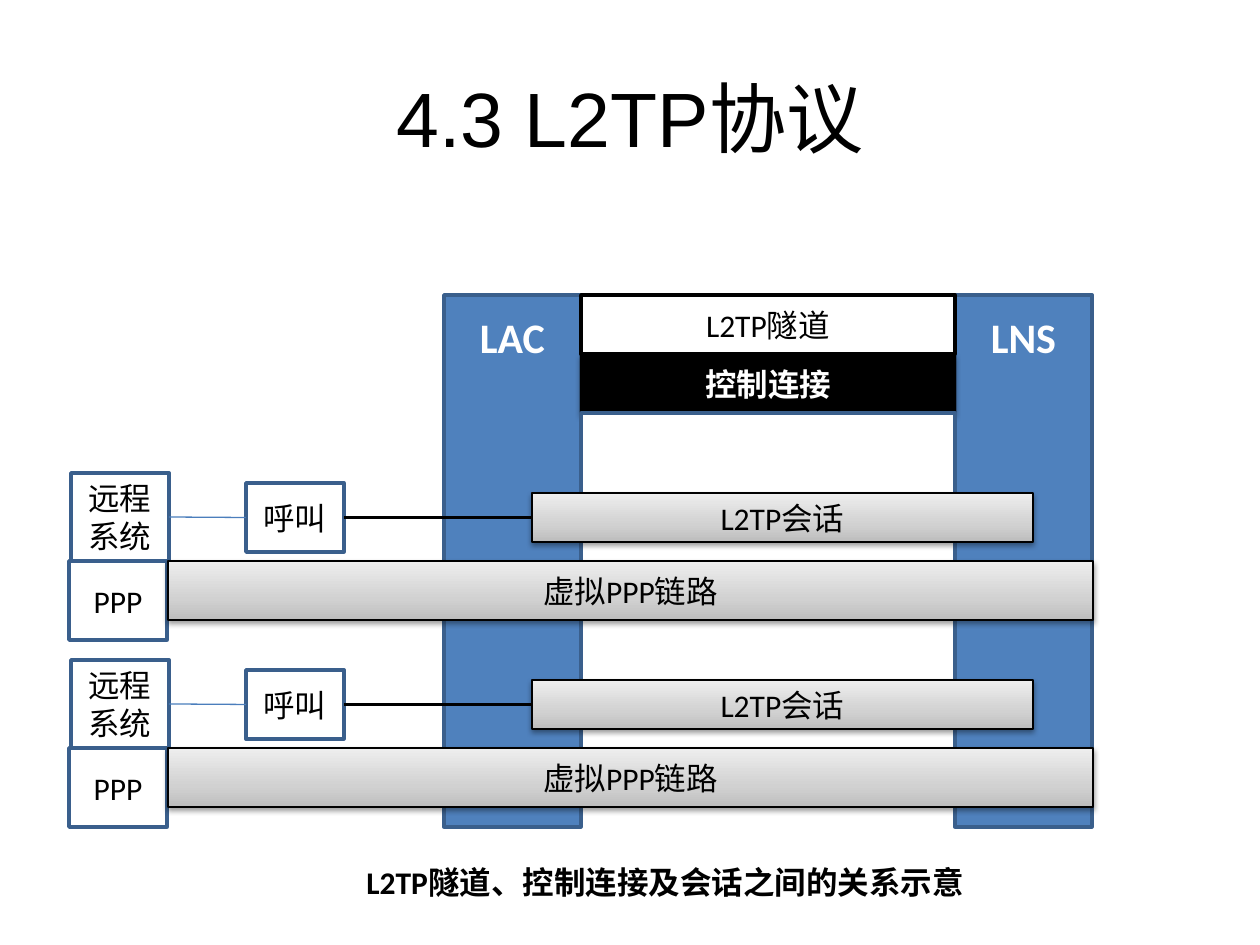
import copy
from dataclasses import dataclass

import pptx
import pptx.dml.color
import pptx.enum.shapes
import pptx.enum.text
import pptx.oxml
import pptx.oxml.ns
import pptx.util

PX = 914400 / 126
RIGHT, LEFT = 3, 1
ROW_GAP = 187


@dataclass(frozen=True)
class Theme:
    font: str = "Calibri"
    head: str = "Arial"
    black: str = "000000"
    white: str = "FFFFFF"
    blue: str = "4F81BD"
    edge: str = "3A5F8C"
    wire: str = "4B7EBC"
    grays: tuple = ((0, "BDBDBD"), (0.35, "D1D1D1"), (1, "EEEEEE"))
    title: int = 44
    label: int = 24
    body: int = 18
    thick: float = 2
    mid: float = 1.25
    thin: float = 0.75


THEME = Theme()


def px(*sizes):
    """Turn pixel lengths into EMU."""
    return [pptx.util.Emu(round(size * PX)) for size in sizes]


def rgb(code):
    return pptx.dml.color.RGBColor.from_string(code)


def write(frame, text, size=THEME.body, color=THEME.black, bold=False,
          font=THEME.font, align=pptx.enum.text.PP_ALIGN.CENTER):
    frame.text = text
    para = frame.paragraphs[0]
    para.alignment = align
    style = para.runs[0].font
    style.name, style.size, style.bold = font, pptx.util.Pt(size), bold
    style.color.rgb = rgb(color)


def add_box(slide, area, fill=None, line=THEME.edge, width=THEME.thick):
    box = slide.shapes.add_shape(
        pptx.enum.shapes.MSO_SHAPE.RECTANGLE, *px(*area))
    box.shadow.inherit = False
    if fill:
        box.fill.solid()
        box.fill.fore_color.rgb = rgb(fill)
    else:
        box.fill.background()
    box.line.color.rgb = rgb(line)
    box.line.width = pptx.util.Pt(width)
    frame = box.text_frame
    frame.word_wrap = True
    frame.vertical_anchor = pptx.enum.text.MSO_ANCHOR.MIDDLE
    return box


def add_label(slide, area, text, **look):
    box = add_box(slide, area, **look)
    write(box.text_frame, text)
    return box


def cast(box, alpha, drop):
    """Give a box a soft shadow below it; alpha in percent, drop in points."""
    effects = box.element.spPr.find(pptx.oxml.ns.qn("a:effectLst"))
    effects.append(pptx.oxml.parse_xml(
        f'<a:outerShdw {pptx.oxml.ns.nsdecls("a")} blurRad="{pptx.util.Pt(3.1)}"'
        f' dist="{pptx.util.Pt(drop)}" dir="5400000" rotWithShape="0">'
        f'<a:srgbClr val="{THEME.black}"><a:alpha val="{alpha * 1000}"/>'
        '</a:srgbClr></a:outerShdw>'))


def add_bar(slide, area, text):
    """Add a gray bar that lightens towards its top."""
    bar = add_label(slide, area, text, line=THEME.black, width=THEME.thin)
    bar.fill.gradient()
    bar.fill.gradient_angle = 90
    stops = bar.element.spPr.find(".//" + pptx.oxml.ns.qn("a:gsLst"))
    stops.append(copy.deepcopy(stops[0]))
    for stop, (place, color) in zip(bar.fill.gradient_stops, THEME.grays):
        stop.position = place
        stop.color.rgb = rgb(color)
    cast(bar, 38, 1.6)
    return bar


def add_column(slide, left, text):
    box = add_box(slide, (left, 295, 137, 532), THEME.blue)
    frame = box.text_frame
    frame.vertical_anchor = pptx.enum.text.MSO_ANCHOR.TOP
    frame.margin_top = px(17)[0]
    write(frame, text, THEME.label, THEME.white, bold=True)


def join(slide, start, end, color, width):
    wire = slide.shapes.add_connector(
        pptx.enum.shapes.MSO_CONNECTOR.STRAIGHT, 0, 0, 0, 0)
    wire.begin_connect(start, RIGHT)
    wire.end_connect(end, LEFT)
    wire.line.color.rgb = rgb(color)
    wire.line.width = pptx.util.Pt(width)
    wire.element.spPr.append(pptx.oxml.parse_xml(
        f'<a:effectLst {pptx.oxml.ns.nsdecls("a")}/>'))


def add_tunnel(slide):
    left, width = 581, 374
    add_label(slide, (left, 295, width, 59), "L2TP隧道",
              fill=THEME.white, line=THEME.black)
    control = add_box(slide, (left, 354, width, 59), THEME.black,
                      THEME.black, THEME.thin)
    write(control.text_frame, "控制连接", color=THEME.white, bold=True)
    cast(control, 35, 1.8)
    add_box(slide, (left, 413, width, 108), THEME.white)


def add_session(slide, top):
    """Add one remote system with its call, session and virtual link."""
    add_label(slide, (69, top + 88, 98, 79), "PPP")
    remote = add_label(slide, (71, top, 98, 88), "远程系统")
    call = add_label(slide, (246, top + 10, 98, 69), "呼叫")
    add_bar(slide, (168, top + 88, 925, 59), "虚拟PPP链路")
    session = add_bar(slide, (532, top + 20, 501, 49), "L2TP会话")
    join(slide, remote, call, THEME.wire, THEME.thin)
    join(slide, call, session, THEME.black, THEME.mid)


def set_title(slide, text):
    title = slide.shapes.title
    title.left, title.top, title.width, title.height = px(63, 38, 1134, 157)
    title.text_frame.vertical_anchor = pptx.enum.text.MSO_ANCHOR.MIDDLE
    write(title.text_frame, text, THEME.title, font=THEME.head)


def add_caption(slide, text):
    frame = slide.shapes.add_textbox(*px(354, 857, 627, 50)).text_frame
    frame.word_wrap = True
    frame.auto_size = pptx.enum.text.MSO_AUTO_SIZE.SHAPE_TO_FIT_TEXT
    write(frame, text, bold=True, align=pptx.enum.text.PP_ALIGN.LEFT)


def main():
    deck = pptx.Presentation()
    deck.slide_width, deck.slide_height = px(1260, 945)
    slide = deck.slides.add_slide(deck.slide_layouts[5])
    set_title(slide, "4.3 L2TP协议")
    for left, text in ((444, "LAC"), (955, "LNS")):
        add_column(slide, left, text)
    add_tunnel(slide)
    for row in range(2):
        add_session(slide, 473 + row * ROW_GAP)
    add_caption(slide, "L2TP隧道、控制连接及会话之间的关系示意")
    deck.save("out.pptx")


if __name__ == "__main__":
    main()
